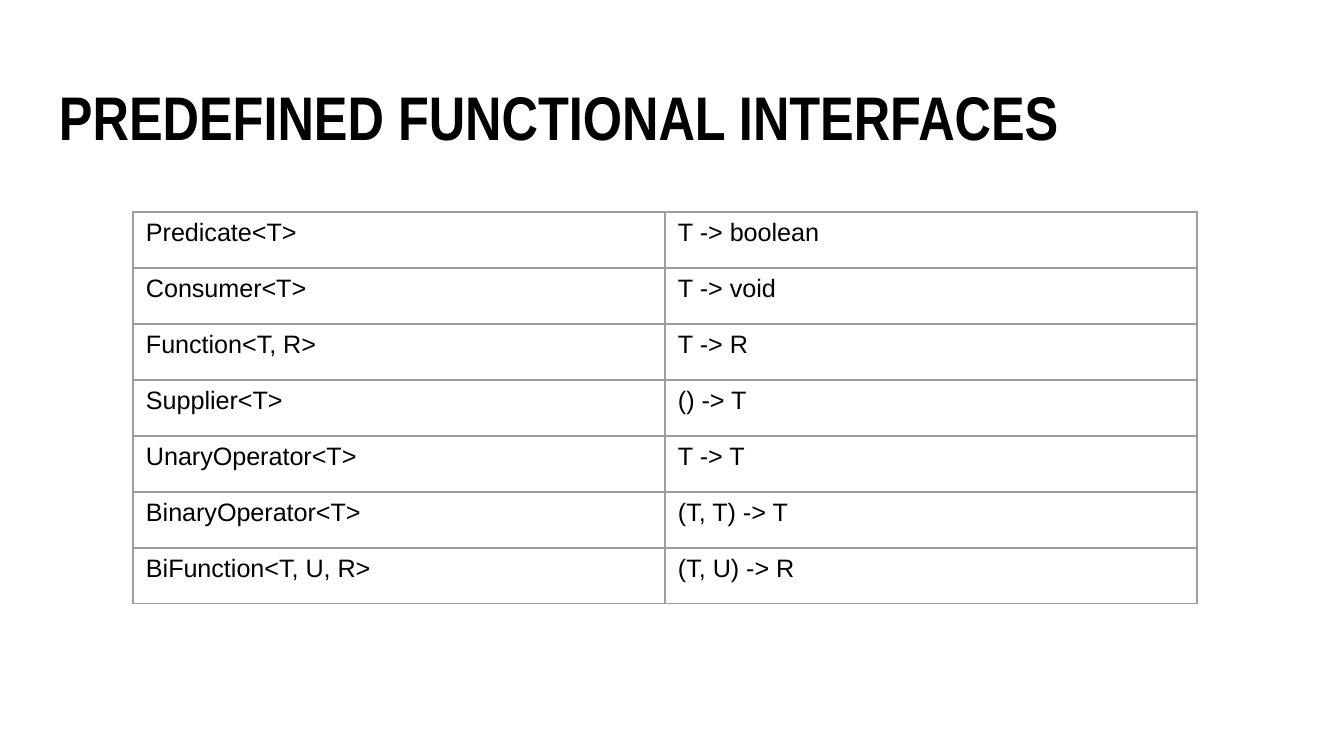
import pptx
import pptx.util
import pptx.dml.color
import pptx.enum.text
import pptx.oxml
import pptx.oxml.ns

# Content
TITLE = "PREDEFINED FUNCTIONAL INTERFACES"
ROWS = [
    ("Predicate<T>", "T -> boolean"),
    ("Consumer<T>", "T -> void"),
    ("Function<T, R>", "T -> R"),
    ("Supplier<T>", "() -> T"),
    ("UnaryOperator<T>", "T -> T"),
    ("BinaryOperator<T>", "(T, T) -> T"),
    ("BiFunction<T, U, R>", "(T, U) -> R"),
]

# Format, lengths in px
SCALE = 914400 / 134.4
SIZE = (1344, 756)
HEAD = (46, 66, 1252, 84)
GRID = (133, 212)
COL, ROW = 532, 56
EDGE = "9E9E9E"
HEAD_FONT = {"name": "Arial Narrow", "size": pptx.util.Pt(33), "bold": True}
CELL_FONT = {"name": "Arial", "size": pptx.util.Pt(13.5), "bold": False}


def px(n):
    return pptx.util.Emu(round(n * SCALE))


def color(code):
    return pptx.dml.color.RGBColor.from_string(code)


def assign(item, values):
    for key, value in values.items():
        setattr(item, key, value)


def margins(side, end):
    return {"margin_left": px(side), "margin_right": px(side),
            "margin_top": px(end), "margin_bottom": px(end)}


def write(frame, text, font):
    run = frame.paragraphs[0].add_run()
    run.text = text
    assign(run.font, font)
    run.font.color.rgb = color("000000")


def border(cell):
    props = cell._tc.get_or_add_tcPr()
    for i, side in enumerate(("lnL", "lnR", "lnT", "lnB")):
        props.insert(i, pptx.oxml.parse_xml(
            f'<a:{side} {pptx.oxml.ns.nsdecls("a")} w="9525"><a:solidFill>'
            f'<a:srgbClr val="{EDGE}"/></a:solidFill></a:{side}>'))


deck = pptx.Presentation()
assign(deck, {"slide_width": px(SIZE[0]), "slide_height": px(SIZE[1])})
slide = deck.slides.add_slide(deck.slide_layouts[6])

# Title
frame = slide.shapes.add_textbox(*map(px, HEAD)).text_frame
assign(frame, {"word_wrap": True, **margins(13, 13),
               "vertical_anchor": pptx.enum.text.MSO_ANCHOR.TOP})
write(frame, TITLE, HEAD_FONT)

# Table of interfaces and their signatures
rows, cols = len(ROWS), len(ROWS[0])
area = (*GRID, cols * COL, rows * ROW)
table = slide.shapes.add_table(rows, cols, *map(px, area)).table
assign(table, {"first_row": False, "horz_banding": False})
for col in table.columns:
    col.width = px(COL)
for row, texts in zip(table.rows, ROWS):
    row.height = px(ROW)
    for cell, text in zip(row.cells, texts):
        assign(cell, margins(13, 7))
        cell.fill.background()
        border(cell)
        write(cell.text_frame, text, CELL_FONT)

deck.save("out.pptx")
